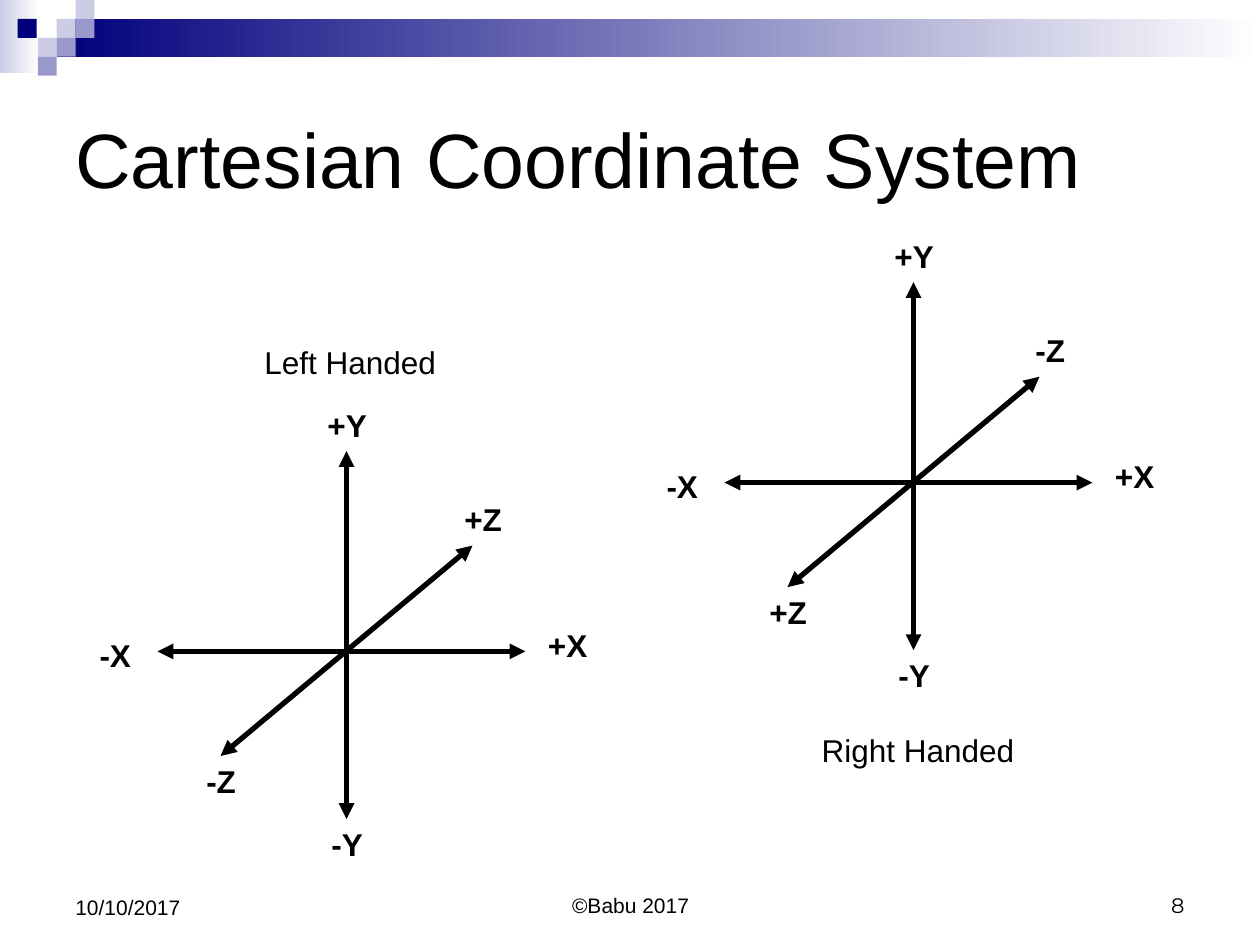
"""Build the Cartesian coordinate system slide."""
from lxml import etree
from pptx import Presentation
from pptx.dml.color import RGBColor
from pptx.enum import shapes, text
from pptx.oxml.ns import qn
from pptx.util import Inches, Pt

BLACK = RGBColor(0, 0, 0)
WHITE = RGBColor(255, 255, 255)
NAVY = RGBColor(0, 0, 0x7D)
LILAC = RGBColor(0xCC, 0xCC, 0xE6)
VIOLET = RGBColor(0x99, 0x99, 0xCC)
LEFT, CENTER, RIGHT = text.PP_ALIGN.LEFT, text.PP_ALIGN.CENTER, text.PP_ALIGN.RIGHT
TOP, MIDDLE, BOTTOM = text.MSO_ANCHOR.TOP, text.MSO_ANCHOR.MIDDLE, text.MSO_ANCHOR.BOTTOM

BANDS = [((0, 0, 0.31, 0.58), LILAC), ((0.45, 0.15, 9.55, 0.3), NAVY)]
SQUARE = 0.15
SQUARES = [
    (0.45, 0.15, LILAC), (0.6, 0, LILAC), (0.6, 0.15, VIOLET), (0.3, 0.3, LILAC),
    (0.14, 0.15, NAVY), (0.45, 0.3, VIOLET), (0.3, 0.45, VIOLET),
]
TEXTS = [
    ("Cartesian Coordinate System", (0.5, 0.5, 9, 1.5), 44, "Arial", LEFT, MIDDLE),
    ("Left Handed", (2, 2.67, 1.56, 0.4), 18, "Arial", CENTER, TOP),
    ("Right Handed", (6.42, 5.75, 1.73, 0.4), 18, "Arial", CENTER, TOP),
    ("10/10/2017", (0.5, 6.83, 2.33, 0.52), 12, "Arial", LEFT, BOTTOM),
    ("©Babu 2017", (3.42, 6.83, 3.17, 0.5), 12, "Arial", CENTER, BOTTOM),
    ("8", (7.17, 6.83, 2.33, 0.5), 12, "Montserrat", RIGHT, BOTTOM),
]
AXES = [(-1.5, 0, 1.42, 0), (0, -1.59, 0, 1.33), (-1, 0.83, 1, -0.84)]
LABEL_SPOTS = [
    (-1.33, 0.83), (0.75, -1.25), (-0.33, 1.33), (-0.33, -2), (-2.17, -0.17), (1.42, -0.25),
]
SYSTEMS = [
    ((2.75, 5.17), ["-Z", "+Z", "-Y", "+Y", "-X", "+X"]),
    ((7.25, 3.83), ["+Z", "-Z", "-Y", "+Y", "-X", "+X"]),
]


def add_rect(s, box, color, fade=False):
    sp = s.shapes.add_shape(shapes.MSO_SHAPE.RECTANGLE, *map(Inches, box))
    sp.shadow.inherit = False
    sp.line.fill.background()
    if fade:
        sp.fill.gradient()
        sp.fill.gradient_angle = 0
        for stop, rgb in zip(sp.fill.gradient_stops, (color, WHITE)):
            stop.color.rgb = rgb
    else:
        sp.fill.solid()
        sp.fill.fore_color.rgb = color


def add_text(s, words, box, size, font, align, anchor, bold=False):
    tf = s.shapes.add_textbox(*map(Inches, box)).text_frame
    tf.word_wrap = size != 18 or bold
    tf.vertical_anchor = anchor
    p = tf.paragraphs[0]
    p.text = words
    p.alignment = align
    p.font.size, p.font.name, p.font.bold = Pt(size), font, bold
    p.font.color.rgb = BLACK


def add_axis(s, ends):
    line = s.shapes.add_connector(shapes.MSO_CONNECTOR.STRAIGHT, *map(Inches, ends))
    line.line.width = Pt(3)
    line.line.color.rgb = BLACK
    ln = line.line._get_or_add_ln()
    for tag in ("a:headEnd", "a:tailEnd"):
        etree.SubElement(ln, qn(tag), type="triangle")
    etree.SubElement(line._element.spPr, qn("a:effectLst"))


def main():
    prs = Presentation()
    prs.slide_width, prs.slide_height = Inches(10), Inches(7.5)
    s = prs.slides.add_slide(prs.slide_layouts[6])
    for box, color in BANDS:
        add_rect(s, box, color, fade=True)
    for x, y, color in SQUARES:
        add_rect(s, (x, y, SQUARE, SQUARE), color)
    for item in TEXTS:
        add_text(s, *item)
    for (ox, oy), labels in SYSTEMS:
        for x1, y1, x2, y2 in AXES:
            add_axis(s, (ox + x1, oy + y1, ox + x2, oy + y2))
        for label, (dx, dy) in zip(labels, LABEL_SPOTS):
            add_text(s, label, (ox + dx, oy + dy, 0.67, 0.4), 18, "Arial", CENTER, TOP, True)
    prs.save("out.pptx")


if __name__ == "__main__":
    main()
